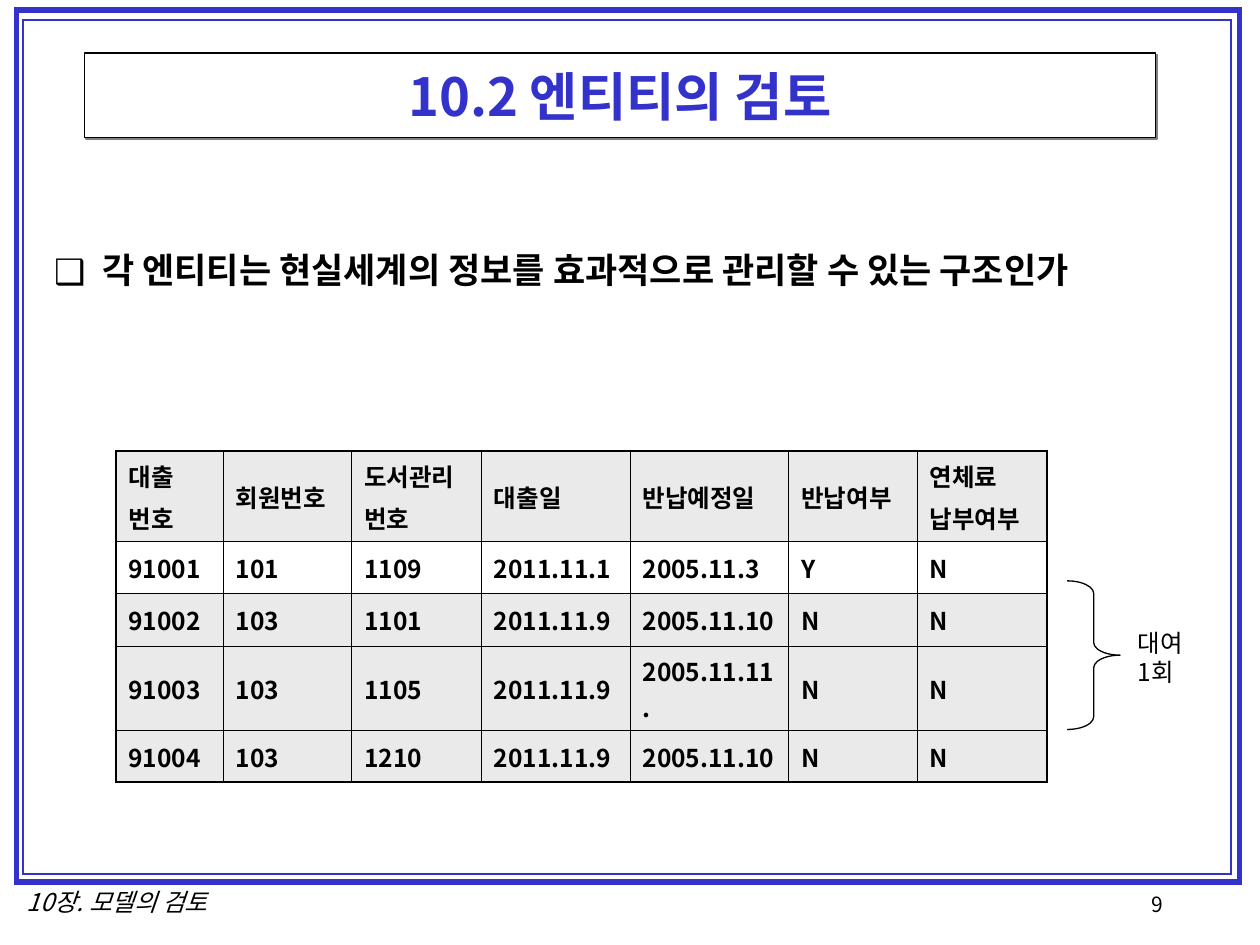
import pptx
import pptx.dml.color
import pptx.enum.shapes
import pptx.enum.text
import pptx.oxml
import pptx.oxml.ns
import pptx.util
from lxml import etree

Inches = pptx.util.Inches
Pt = pptx.util.Pt
qn = pptx.oxml.ns.qn
SHAPES = pptx.enum.shapes.MSO_SHAPE
ALIGN = pptx.enum.text.PP_ALIGN
ANCHOR = pptx.enum.text.MSO_ANCHOR

FONT = "Noto Sans CJK KR"
COLORS = {"frame": "3333CC", "ink": "000000", "paper": "FFFFFF", "band": "EAEAEA", "shadow": "808080"}

COLUMN_WIDTHS = [0.85, 1.02, 1.03, 1.18, 1.26, 1.02, 1.03]
ROW_HEIGHTS = [0.72, 0.41, 0.42, 0.67, 0.41]
LOANS = [
    ["대출\n번호", "회원번호", "도서관리\n번호", "대출일", "반납예정일", "반납여부", "연체료\n납부여부"],
    ["91001", "101", "1109", "2011.11.1", "2005.11.3", "Y", "N"],
    ["91002", "103", "1101", "2011.11.9", "2005.11.10", "N", "N"],
    ["91003", "103", "1105", "2011.11.9", "2005.11.11.", "N", "N"],
    ["91004", "103", "1210", "2011.11.9", "2005.11.10", "N", "N"],
]
UNSHADED_ROW = 1


def color(name):
    """Return the named colour as an RGB value."""
    return pptx.dml.color.RGBColor.from_string(COLORS[name])


def format_text(text_frame, size, name="ink", bold=False, italic=False, align=ALIGN.LEFT, gap=0):
    """Give every paragraph of a text frame the same font and alignment."""
    for index, paragraph in enumerate(text_frame.paragraphs):
        paragraph.alignment = align
        paragraph.space_before = Pt(gap if index else 0)
        font = paragraph.font
        font.size, font.bold, font.italic, font.name = Pt(size), bold, italic, FONT
        font.color.rgb = color(name)
        properties = paragraph._p.pPr.find(qn("a:defRPr"))
        etree.SubElement(properties, qn("a:ea"), typeface=FONT)


def place(shape, box):
    """Move and size a shape to a box in inches."""
    shape.left, shape.top, shape.width, shape.height = map(Inches, box)


def add_frame(slide, box, weight):
    """Draw one unfilled border rectangle with square corners."""
    frame = slide.shapes.add_shape(SHAPES.RECTANGLE, *map(Inches, box))
    frame.shadow.inherit = False
    frame.fill.background()
    frame.line.color.rgb = color("frame")
    frame.line.width = Pt(weight)
    etree.SubElement(frame._element.spPr.find(qn("a:ln")), qn("a:miter"), lim="800000")


def add_label(slide, box, text, size, **style):
    """Add an unwrapped text box."""
    label = slide.shapes.add_textbox(*map(Inches, box))
    label.text_frame.word_wrap = False
    label.text_frame.text = text
    format_text(label.text_frame, size, **style)


def fill_title(slide, box, text):
    """Put the heading in its shadowed title box."""
    title = slide.shapes.title
    place(title, box)
    title.fill.solid()
    title.fill.fore_color.rgb = color("paper")
    title.line.color.rgb = color("ink")
    title.line.width = Pt(0.75)
    title.shadow.inherit = False
    effects = title._element.spPr.find(qn("a:effectLst"))
    shadow = etree.SubElement(effects, qn("a:outerShdw"), dist=str(Pt(1.4)), dir="2700000", algn="ctr", rotWithShape="0")
    etree.SubElement(shadow, qn("a:srgbClr"), val=COLORS["shadow"])
    title.text_frame.text = text
    title.text_frame.auto_size = pptx.enum.text.MSO_AUTO_SIZE.NONE
    title.text_frame.vertical_anchor = ANCHOR.MIDDLE
    format_text(title.text_frame, 30, "frame", bold=True, align=ALIGN.CENTER)


def fill_body(slide, box, text):
    """Put the bulleted question in the body placeholder."""
    body = slide.placeholders[1]
    place(body, box)
    body.text_frame.text = text
    body.text_frame.auto_size = pptx.enum.text.MSO_AUTO_SIZE.NONE
    properties = body.text_frame.paragraphs[0]._p.get_or_add_pPr()
    properties.set("marL", str(Inches(0.38)))
    properties.set("indent", str(-Inches(0.38)))
    bullet_color = etree.SubElement(properties, qn("a:buClr"))
    etree.SubElement(bullet_color, qn("a:srgbClr"), val=COLORS["ink"])
    etree.SubElement(properties, qn("a:buFont"), typeface=FONT)
    etree.SubElement(properties, qn("a:buChar"), char="❑")
    format_text(body.text_frame, 20, bold=True)


def set_borders(cell, weights):
    """Draw the cell's left, right, top and bottom borders."""
    properties = cell._tc.get_or_add_tcPr()
    for index, (side, weight) in enumerate(zip("LRTB", weights)):
        border = etree.Element(qn(f"a:ln{side}"), w=str(Pt(weight)))
        fill = etree.SubElement(border, qn("a:solidFill"))
        etree.SubElement(fill, qn("a:srgbClr"), val=COLORS["ink"])
        properties.insert(index, border)


def add_loan_table(slide, box):
    """Add the loan table with heavier outer borders."""
    last_row, last_column = len(LOANS) - 1, len(COLUMN_WIDTHS) - 1
    table = slide.shapes.add_table(last_row + 1, last_column + 1, *map(Inches, box)).table
    table.first_row = table.horz_banding = False
    for column, width in zip(table.columns, COLUMN_WIDTHS):
        column.width = Inches(width)
    for row, height in zip(table.rows, ROW_HEIGHTS):
        row.height = Inches(height)
    for i, values in enumerate(LOANS):
        for j, value in enumerate(values):
            cell = table.cell(i, j)
            cell.text = value
            cell.vertical_anchor = ANCHOR.MIDDLE
            if i == UNSHADED_ROW:
                cell.fill.background()
            else:
                cell.fill.solid()
                cell.fill.fore_color.rgb = color("band")
            outer_edges = (j == 0, j == last_column, i == 0, i == last_row)
            set_borders(cell, [1.08 if outer else 0.45 for outer in outer_edges])
            format_text(cell.text_frame, 14, bold=True, gap=3.5)


def add_brace_note(slide, box, text):
    """Add a right brace with its note beside the tip."""
    left, top, width, height = box
    brace = slide.shapes.add_shape(SHAPES.RIGHT_BRACE, *map(Inches, box))
    brace.adjustments[0] = 0.24
    brace.shadow.inherit = False
    brace.fill.background()
    brace.line.color.rgb = color("ink")
    brace.line.width = Pt(0.75)
    note_height = 0.57
    note_top = top + (height - note_height) / 2 + 0.02
    add_label(slide, (left + width + 0.04, note_top, 0.56, note_height), text, 14)


def main():
    """Build and save the entity review slide."""
    presentation = pptx.Presentation()
    presentation.slide_width, presentation.slide_height = Inches(10), Inches(7.5)
    slide = presentation.slides.add_slide(presentation.slide_layouts[1])
    add_frame(slide, (0.13, 0.08, 9.71, 6.92), 3)
    add_frame(slide, (0.18, 0.16, 9.59, 6.78), 1)
    add_label(slide, (9.04, 7.03, 1.02, 0.33), "9", 12)
    add_label(slide, (0.04, 6.99, 1.78, 0.34), "10장. 모델의 검토", 14, italic=True, align=ALIGN.CENTER)
    fill_title(slide, (0.67, 0.42, 8.5, 0.67), "10.2 엔티티의 검토")
    fill_body(slide, (0.33, 1.92, 9.27, 4.87), "각 엔티티는 현실세계의 정보를 효과적으로 관리할 수 있는 구조인가")
    add_loan_table(slide, (0.92, 3.58, sum(COLUMN_WIDTHS), sum(ROW_HEIGHTS)))
    add_brace_note(slide, (8.47, 4.61, 0.42, 1.18), "대여\n1회")
    presentation.save("out.pptx")


if __name__ == "__main__":
    main()
